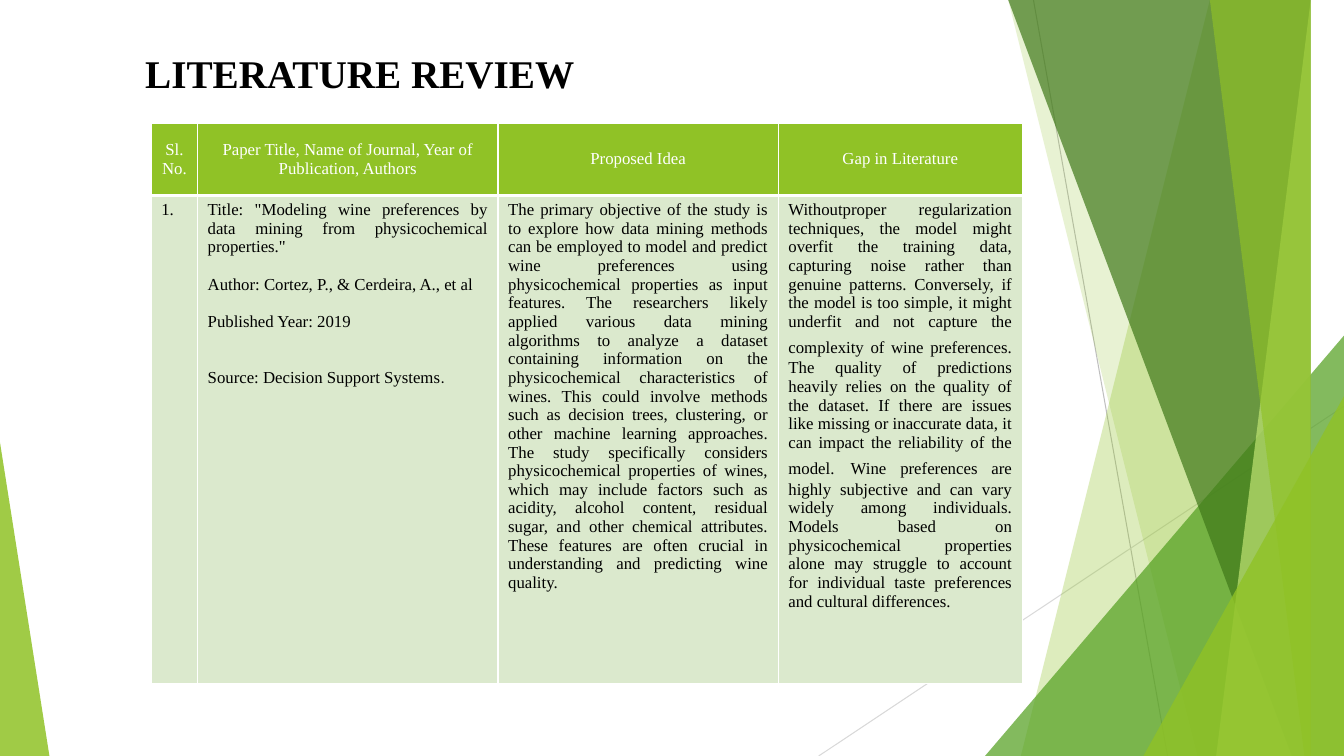
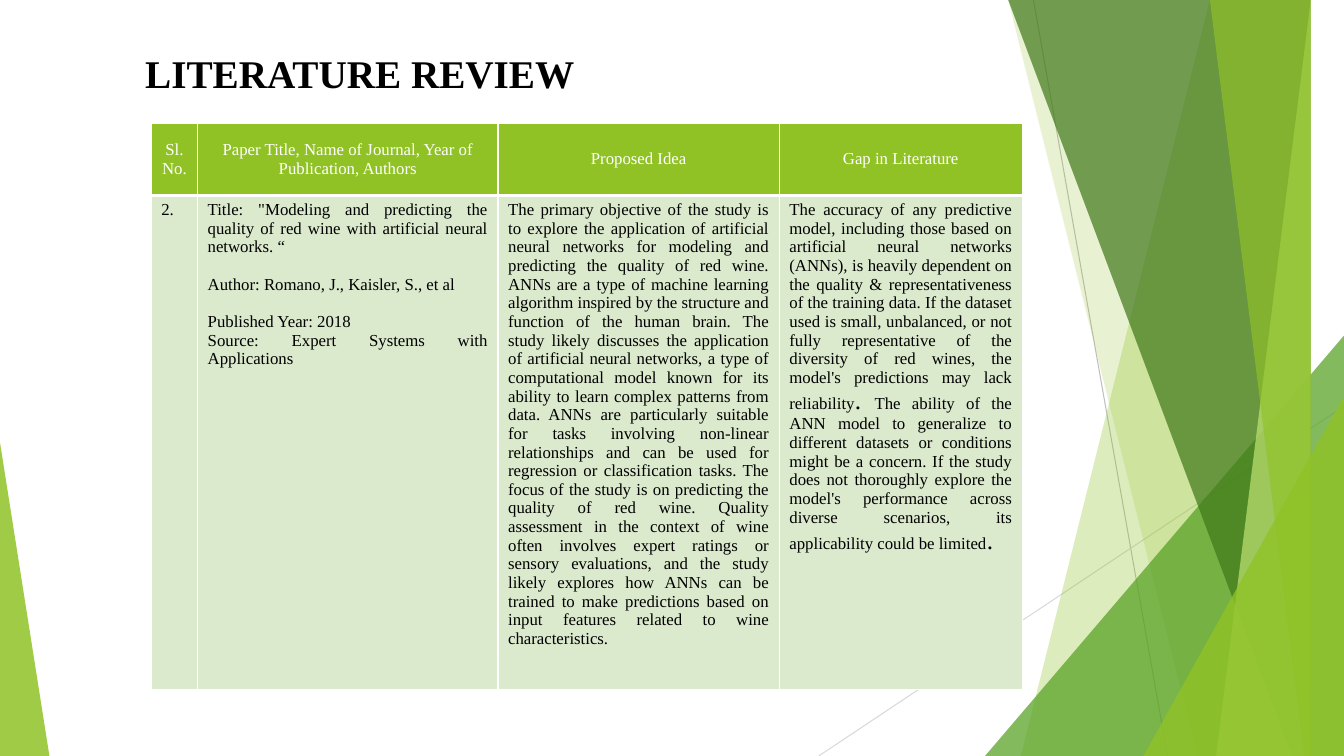
from dataclasses import dataclass

import lxml.etree
import pptx
import pptx.dml.color
import pptx.enum.shapes
import pptx.enum.text
import pptx.oxml
import pptx.oxml.ns
import pptx.util

Inches = pptx.util.Inches
Pt = pptx.util.Pt
Align = pptx.enum.text.PP_ALIGN
Anchor = pptx.enum.text.MSO_ANCHOR
qn = pptx.oxml.ns.qn

WIDTH, HEIGHT = 13.33, 7.5
FONT = "Times New Roman"
COLORS = {
    "black": "000000",
    "white": "FFFFFF",
    "lime": "90C226",
    "green": "54A021",
    "forest": "3F7819",
    "pale lime": "C0E474",
    "row": "DBE9CD",
    "gray": "BFBFBF",
    "light gray": "D9D9D9",
}


@dataclass
class Line:
    start: tuple[float, float]
    end: tuple[float, float]
    color: str


@dataclass
class Band:
    """Band reaching the right edge, slanted on its left side."""
    top_left: float
    bottom_left: float
    color: str
    opacity: int


@dataclass
class Triangle:
    """Right triangle standing on the bottom edge."""
    left: float
    top: float
    width: float
    peak: float
    color: str
    opacity: int


@dataclass
class Run:
    text: str
    size: int = 12
    font: str = FONT


@dataclass
class Paragraph:
    runs: list[Run]
    space_before: float = 0


@dataclass
class Review:
    number: str
    paper: list[Paragraph]
    idea: list[Run]
    gap: list[Run]
    column_widths: list[float]
    row_height: float


DECORATION = [
    Line((10.25, 0), (11.58, HEIGHT), "gray"),
    Line((WIDTH, 4.03), (8.12, HEIGHT), "light gray"),
    Band(12.28, 10.04, "lime", 30),
    Band(10.5, 11.83, "lime", 20),
    Triangle(9.77, 3.33, 3.56, 1, "green", 72),
    Band(10.21, 12.91, "forest", 70),
    Band(13.03, 11.92, "pale lime", 70),
    Band(11.96, 13.18, "lime", 65),
    Triangle(11.34, 3.93, 1.99, 1, "lime", 80),
    Triangle(0, 4.39, 0.49, 0, "lime", 85),
]

HEADERS = [
    "Sl. No.",
    "Paper Title, Name of Journal, Year of Publication, Authors",
    "Proposed Idea",
    "Gap in Literature",
]

ONE_LINE = 13.3

REVIEWS = [
    Review(
        "1.",
        [
            Paragraph([Run('Title: "Modeling wine preferences by data mining from '
                           'physicochemical properties."')]),
            Paragraph([Run("Author: Cortez, P., & Cerdeira, A., et al")], ONE_LINE),
            Paragraph([Run("Published Year: 2019")], ONE_LINE),
            Paragraph([Run("Source: Decision Support Systems"),
                       Run(".", font="Roboto")], 2 * ONE_LINE),
        ],
        [
            Run("The primary objective of the study is to explore how data mining "
                "methods can be employed to model and predict wine preferences using "
                "physicochemical properties as input features. The researchers likely "
                "applied various data mining algorithms to analyze a dataset "
                "containing information on the physicochemical characteristics of "
                "wines. "),
            Run("This could involve methods such as decision trees, clustering, or "
                "other machine learning approaches. The study specifically considers "
                "physicochemical properties of wines, which may include factors such "
                "as acidity, alcohol content, residual sugar, and other chemical "
                "attributes. These features are often crucial in understanding and "
                "predicting wine quality."),
        ],
        [
            Run("Withoutproper regularization techniques, the model might overfit "
                "the training data, capturing noise rather than genuine patterns. "
                "Conversely, if the model is too simple, it might underfit and not "
                "capture the complexity of wine preferences."),
            Run(" ", 18),
            Run("The quality of predictions heavily relies on the quality of the "
                "dataset. If there are issues like missing or inaccurate data, it "
                "can impact the reliability of the model."),
            Run(" ", 18),
            Run("Wine preferences are highly subjective and can vary widely among "
                "individuals. Models based on physicochemical properties alone may "
                "struggle to account for individual taste preferences and cultural "
                "differences."),
        ],
        [0.46, 2.98, 2.78, 2.42],
        4.84,
    ),
    Review(
        "2.",
        [
            Paragraph([Run('Title: "Modeling and predicting the quality of red wine '
                           'with artificial neural networks. \u201c')]),
            Paragraph([Run("Author: Romano, J., Kaisler, S., et al")], ONE_LINE),
            Paragraph([Run("Published Year: 2018")], ONE_LINE),
            Paragraph([Run("Source: Expert Systems with Applications")]),
        ],
        [
            Run("The primary objective of the study is to explore the application of "
                "artificial neural networks for modeling and predicting the quality "
                "of red wine. ANNs are a type of machine learning algorithm inspired "
                "by the structure and function of the human brain. The study likely "
                "discusses the application of artificial neural networks, a type of "
                "computational model known for its ability to learn complex patterns "
                "from data. "),
            Run("ANNs are particularly suitable for tasks involving non-linear "
                "relationships and can be used for regression or classification "
                "tasks. The focus of the study is on predicting the quality of red "
                "wine. Quality assessment in the context of wine often involves "
                "expert ratings or sensory evaluations, and the study likely explores "
                "how ANNs can be trained to make predictions based on input features "
                "related to wine characteristics."),
        ],
        [
            Run("The accuracy of any predictive model, including those based on "
                "artificial neural networks (ANNs), is heavily dependent on the "
                "quality & representativeness of the training data. If the dataset "
                "used is small, unbalanced, or not fully representative of the "
                "diversity of red wines, the model's predictions may lack "
                "reliability"),
            Run(". ", 18),
            Run("The ability of the ANN model to generalize to different datasets "
                "or conditions might be a concern. If the study does not thoroughly "
                "explore the model's performance across diverse scenarios, its "
                "applicability could be limited"),
            Run(".", 18),
        ],
        [0.46, 2.98, 2.79, 2.41],
        4.9,
    ),
]


def rgb(color: str) -> pptx.dml.color.RGBColor:
    return pptx.dml.color.RGBColor.from_string(COLORS[color])


def write(text_frame, paragraphs: list[Paragraph], *, color: str,
          align: Align, bold: bool = False) -> None:
    for index, content in enumerate(paragraphs):
        paragraph = text_frame.add_paragraph() if index else text_frame.paragraphs[0]
        paragraph.alignment = align
        paragraph.space_before = Pt(content.space_before)
        for part in content.runs:
            run = paragraph.add_run()
            run.text = part.text
            run.font.size = Pt(part.size)
            run.font.name = part.font
            run.font.bold = bold
            run.font.color.rgb = rgb(color)


# Shared decoration
def draw_line(shapes, line: Line):
    connector = shapes.add_connector(
        pptx.enum.shapes.MSO_CONNECTOR.STRAIGHT,
        *(Inches(value) for value in line.start + line.end))
    connector.line.color.rgb = rgb(line.color)
    connector.line.width = Pt(0.75)
    lxml.etree.SubElement(connector.element.spPr, qn("a:effectLst"))
    return connector


def draw_area(shapes, area: Band | Triangle):
    if isinstance(area, Band):
        builder = shapes.build_freeform(area.top_left, 0, scale=Inches(1))
        builder.add_line_segments(
            [(WIDTH, 0), (WIDTH, HEIGHT), (area.bottom_left, HEIGHT)], close=True)
        shape = builder.convert_to_shape()
    else:
        shape = shapes.add_shape(
            pptx.enum.shapes.MSO_SHAPE.ISOSCELES_TRIANGLE,
            Inches(area.left), Inches(area.top),
            Inches(area.width), Inches(HEIGHT - area.top))
        shape.adjustments[0] = area.peak
    shape.shadow.inherit = False
    shape.line.fill.background()
    shape.fill.solid()
    shape.fill.fore_color.rgb = rgb(area.color)
    color_element = shape.element.spPr.find(f"{qn('a:solidFill')}/{qn('a:srgbClr')}")
    lxml.etree.SubElement(color_element, qn("a:alpha"), val=str(area.opacity * 1000))
    return shape


def decorate_layout(layout, slide) -> None:
    """Draw on the slide, then move each part behind the layout's placeholders."""
    for position, part in enumerate(DECORATION, start=2):
        draw = draw_line if isinstance(part, Line) else draw_area
        layout.shapes.element.insert(position, draw(slide.shapes, part).element)


# Title and table
def add_title(slide, text: str) -> None:
    title = slide.shapes.title
    title.left, title.top = Inches(1.34), Inches(0.44)
    title.width, title.height = Inches(8.8), Inches(0.57)
    title.text_frame.word_wrap = True
    title.text_frame.auto_size = pptx.enum.text.MSO_AUTO_SIZE.SHAPE_TO_FIT_TEXT
    title.text_frame.vertical_anchor = Anchor.TOP
    write(title.text_frame, [Paragraph([Run(text, 28)])],
          color="black", align=Align.LEFT, bold=True)


def format_cell(cell, fill: str, bottom_width: float) -> None:
    properties = cell._tc.get_or_add_tcPr()
    for side, width in zip("LRTB", (1, 1, 1, bottom_width)):
        border = lxml.etree.SubElement(properties, qn(f"a:ln{side}"), w=str(Pt(width)))
        border_fill = lxml.etree.SubElement(border, qn("a:solidFill"))
        lxml.etree.SubElement(border_fill, qn("a:srgbClr"), val=COLORS["white"])
    cell.fill.solid()
    cell.fill.fore_color.rgb = rgb(fill)


def add_review_table(slide, review: Review) -> None:
    heights = [0.72, review.row_height]
    table = slide.shapes.add_table(
        2, len(HEADERS), Inches(1.5), Inches(1.22),
        Inches(sum(review.column_widths)), Inches(sum(heights))).table
    for row, height in zip(table.rows, heights):
        row.height = Inches(height)
    bodies = [[Paragraph([Run(review.number)])], review.paper,
              [Paragraph(review.idea)], [Paragraph(review.gap)]]
    for index, (header, body) in enumerate(zip(HEADERS, bodies)):
        table.columns[index].width = Inches(review.column_widths[index])
        header_cell, body_cell = table.cell(0, index), table.cell(1, index)
        format_cell(header_cell, "lime", 3)
        format_cell(body_cell, "row", 1)
        header_cell.vertical_anchor = Anchor.MIDDLE
        write(header_cell.text_frame, [Paragraph([Run(header)])],
              color="white", align=Align.CENTER)
        write(body_cell.text_frame, body, color="black", align=Align.JUSTIFY)


presentation = pptx.Presentation()
presentation.slide_width = Inches(WIDTH)
presentation.slide_height = Inches(HEIGHT)
title_only = presentation.slide_layouts[5]
for review in REVIEWS:
    slide = presentation.slides.add_slide(title_only)
    add_title(slide, "LITERATURE REVIEW")
    add_review_table(slide, review)
decorate_layout(title_only, presentation.slides[0])
presentation.save("out.pptx")
